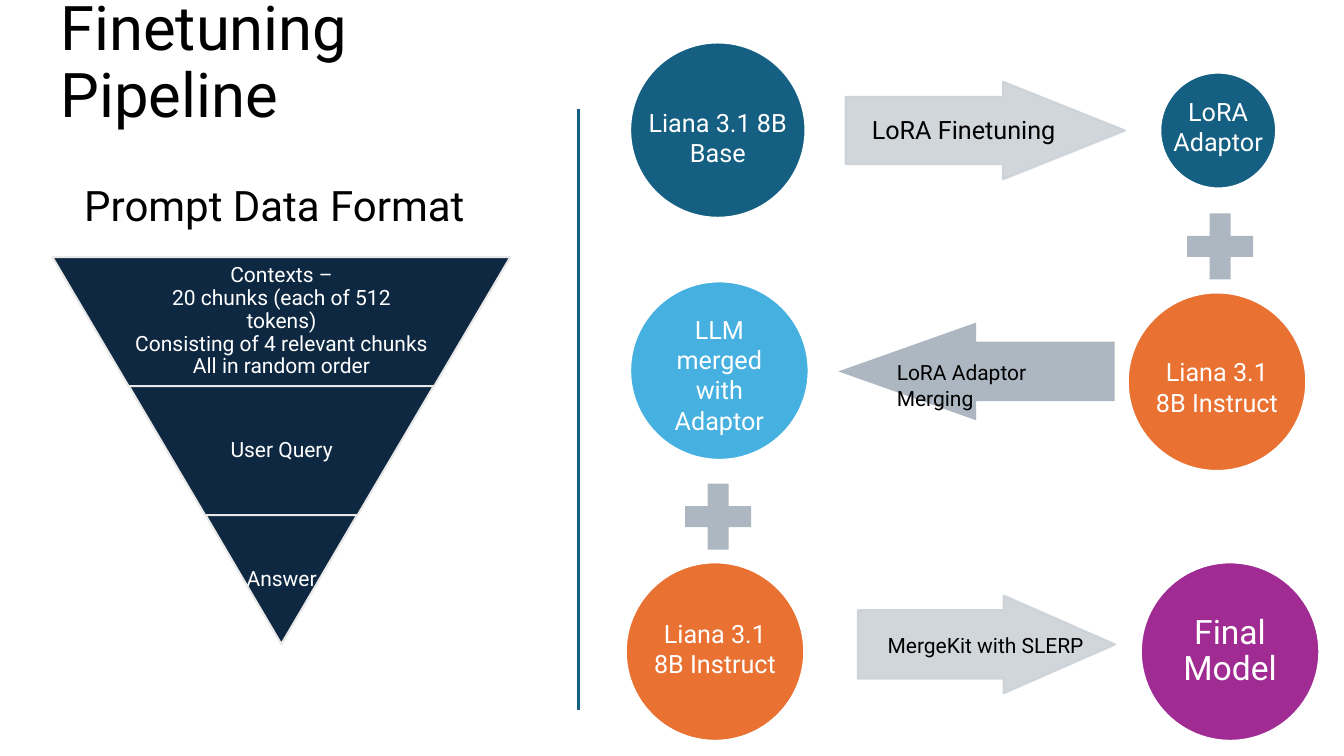
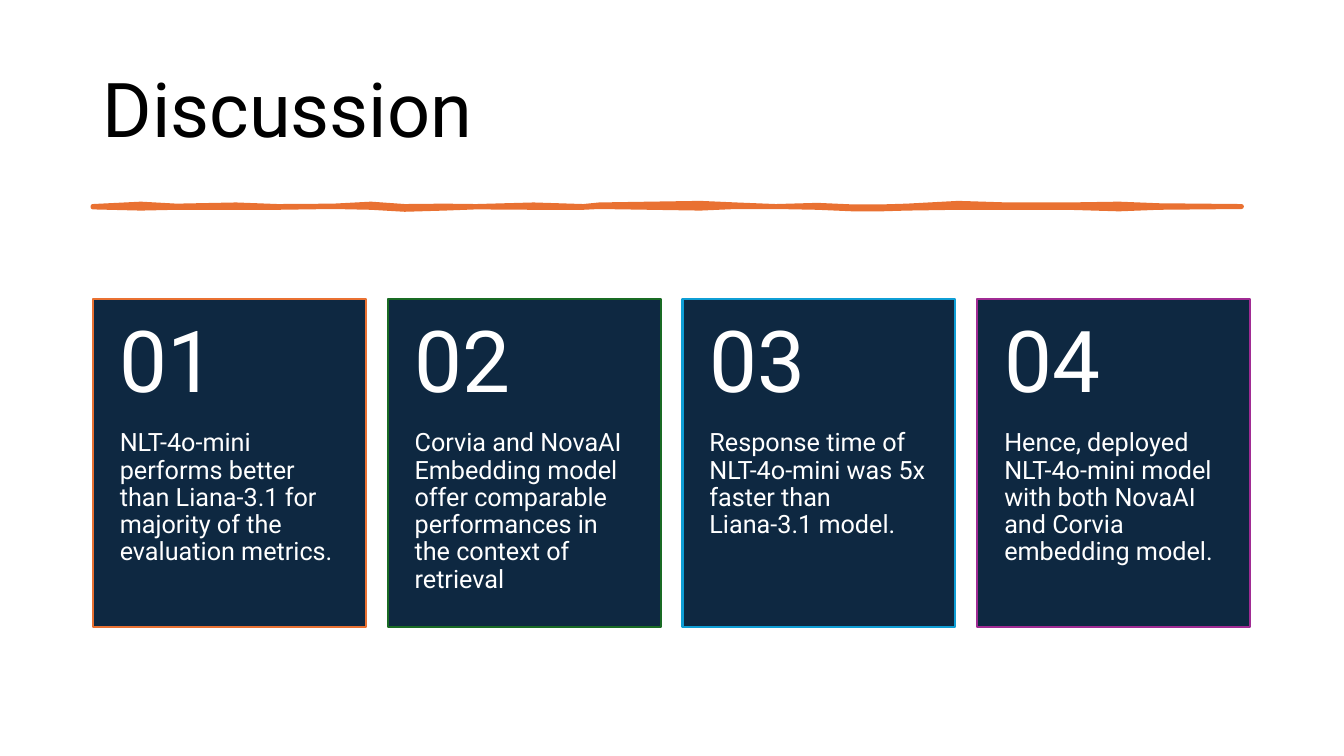
from pptx import Presentation
from pptx.dml.color import RGBColor
from pptx.enum.shapes import MSO_CONNECTOR as Link, MSO_SHAPE as Kind
from pptx.enum.text import MSO_ANCHOR as Anchor, MSO_AUTO_SIZE as Fit, PP_ALIGN as Align
from pptx.oxml.ns import qn
from pptx.util import Cm, Pt
from lxml.etree import SubElement as Sub

FONT = "Roboto"
BLACK, WHITE, NAVY, TEAL = "000000", "FFFFFF", "0E2841", "156082"
ORANGE, GREEN, BLUE, SKY = "E97132", "196B24", "0F9ED5", "46B1E1"
PLUM, STEEL, MIST, PALE = "A02B93", "ACB7C1", "CCD2D8", "E8E8E8"
SIDE = ("margin_left", "margin_top", "margin_right", "margin_bottom")
PAD = (0.25, 0.13, 0.25, 0.13)

TIERS = [
    ("Contexts –\n20 chunks (each of 512 tokens)\nConsisting of 4 relevant chunks\n"
     "All in random order", 3.35, 7.49),
    ("User Query", 4.6, 5),
    ("Answer", 5.18, 3.84),
]
DISCS = [
    ("Liana 3.1 8B\nBase", 15.88, 1.07, 4.42, TEAL, 0.18),
    ("LoRA\nAdaptor", 29.24, 1.83, 2.92, TEAL, -0.1),
    ("Liana 3.1 8B Instruct", 28.42, 7.37, 4.5, ORANGE, 0.13),
    ("LLM merged with Adaptor", 15.88, 7.09, 4.5, SKY, 0.1),
    ("Liana 3.1 8B Instruct", 15.77, 14.17, 4.5, ORANGE, -0.08),
]
ARROWS = [
    (Kind.RIGHT_ARROW, (21.31, 2.06, 7.04, 2.46), (0.69, 1.25), MIST, 90),
    (Kind.LEFT_ARROW, (21.13, 8.13, 6.96, 2.46), (0.61, 1.41), STEEL, 100),
    (Kind.RIGHT_ARROW, (21.62, 15.01, 6.48, 2.46), (0.7, 1.14), MIST, 90),
]
STEPS = [
    ("LoRA Finetuning", 21.72, 2.74, 18),
    ("LoRA Adaptor Merging", 22.35, 8.94, 15),
    ("MergeKit with SLERP", 22.12, 15.8, 15),
]
POINTS = [
    ("NLT-4o-mini performs better than Liana-3.1 for majority of the evaluation metrics.", ORANGE),
    ("Corvia and NovaAI Embedding model offer comparable performances in the context of "
     "retrieval", GREEN),
    ("Response time of NLT-4o-mini was 5x faster than Liana-3.1 model.", BLUE),
    ("Hence, deployed NLT-4o-mini model with both NovaAI and Corvia embedding model.", PLUM),
]
WAVE = [
    (2.34, 5.2, 5.22), (3.55, 5.14, 5.25), (4.45, 5.19, 5.23), (5.95, 5.16, 5.23),
    (7, 5.2, 5.23), (8.4, 5.19, 5.21), (9.35, 5.14, 5.23), (10.2, 5.2, 5.28),
    (11.2, 5.19, 5.25), (12, 5.2, 5.22), (13.45, 5.16, 5.23), (14.7, 5.2, 5.23),
    (15.1, 5.16, 5.21), (17.65, 5.12, 5.25), (18.55, 5.16, 5.21), (19.55, 5.2, 5.21),
    (20.6, 5.17, 5.23), (21.5, 5.21, 5.27), (22.2, 5.21, 5.27), (22.85, 5.19, 5.25),
    (24.15, 5.12, 5.23), (25.4, 5.16, 5.23), (26.9, 5.16, 5.23), (28.2, 5.14, 5.27),
    (29.2, 5.18, 5.23), (31.29, 5.2, 5.21),
]


def color(code):
    """Turn a hex string into a colour."""
    return RGBColor.from_string(code)


def put(item, **vals):
    """Set each named attribute on the item."""
    for name, val in vals.items():
        setattr(item, name, val)


def write(shape, text, size, ink=WHITE, align=Align.LEFT, anchor=Anchor.TOP,
          lead=1.0, pad=PAD, wrap=True):
    """Fill the text frame of a shape and format every run."""
    frame = shape.text_frame
    frame.text = text
    put(frame, auto_size=Fit.NONE, word_wrap=wrap, vertical_anchor=anchor,
        **{side: Cm(gap) for side, gap in zip(SIDE, pad)})
    for para in frame.paragraphs:
        put(para, alignment=align, line_spacing=lead)
        for run in para.runs:
            put(run.font, name=FONT, size=Pt(size))
            run.font.color.rgb = color(ink)


def label(slide, text, box, size, **look):
    """Add a text box."""
    write(slide.shapes.add_textbox(*map(Cm, box)), text, size, **look)


def paint(shape, fill, line=None, width=1.5, alpha=100):
    """Give a shape its fill, outline and opacity."""
    shape.shadow.inherit = False
    shape.fill.solid()
    shape.fill.fore_color.rgb = color(fill)
    if line:
        shape.line.color.rgb = color(line)
        shape.line.width = Pt(width)
    else:
        shape.line.fill.background()
    if alpha < 100:
        for tint in shape._element.spPr.iter(qn("a:srgbClr")):
            Sub(tint, qn("a:alpha"), val=str(alpha * 1000))


def block(slide, kind, box, fill, line=None, adj=(), alpha=100):
    """Add a painted preset shape."""
    shape = slide.shapes.add_shape(kind, *map(Cm, box))
    for spot, val in enumerate(adj):
        shape.adjustments[spot] = val
    paint(shape, fill, line, alpha=alpha)
    return shape


def disc(slide, text, left, top, size, fill, shift=0, font=18, lead=1.0):
    """Add a circle whose centred text is moved down by shift."""
    shape = block(slide, Kind.OVAL, (left, top, size, size), fill, WHITE)
    pad = (0, max(0, 2 * shift), 0, max(0, -2 * shift))
    write(shape, text, font, align=Align.CENTER, anchor=Anchor.MIDDLE, lead=lead,
          pad=pad, wrap="\n" not in text)


def rule(slide, left, top, end):
    """Draw the vertical divider."""
    line = slide.shapes.add_connector(Link.STRAIGHT, *map(Cm, (left, top, left, end)))
    line.line.color.rgb = color(TEAL)
    line.line.width = Pt(1.5)
    Sub(line._element.spPr, qn("a:effectLst"))


def tiers(slide):
    """Stack the bands of the inverted pyramid."""
    high, step = 3.25, 1.93
    for row, (text, left, width) in enumerate(TIERS):
        top = 6.48 + row * high
        band = block(slide, Kind.TRAPEZOID,
                     (1.32 + row * step, top, 11.54 - 2 * row * step, high),
                     NAVY, PALE, (0.59,))
        band.rotation = 180
        label(slide, text, (left, top, width, high), 15, align=Align.CENTER,
              anchor=Anchor.MIDDLE, lead=0.9, pad=(0.05,) * 4)


def stroke(slide):
    """Draw the uneven brush line under the title."""
    edge = [(x, top) for x, top, _ in WAVE] + [(x, low) for x, _, low in reversed(WAVE)]
    dots = [(Cm(x), Cm(y)) for x, y in edge]
    form = slide.shapes.build_freeform(*dots[0])
    form.add_line_segments(dots[1:])
    paint(form.convert_to_shape(), ORANGE, ORANGE, 3.25)


def cards(slide):
    """Lay out the numbered cards in equal steps."""
    top, width, head = 7.54, 6.88, 3.3
    for spot, (text, edge) in enumerate(POINTS):
        left = 2.34 + spot * 7.43
        card = block(slide, Kind.RECTANGLE, (left, top, width, 8.26), NAVY, edge)
        write(card, text, 18, lead=0.9, pad=(0.68, head, 0.68, 0.91))
        label(slide, f"{spot + 1:02}", (left, top, width, head), 61, anchor=Anchor.MIDDLE,
              lead=0.9, pad=(0.68, 0.46, 0.68, 0.46))


def page(deck, title, box, size):
    """Add a slide with a formatted title."""
    slide = deck.slides.add_slide(deck.slide_layouts[5])
    head = slide.shapes.title
    put(head, **dict(zip(("left", "top", "width", "height"), map(Cm, box))))
    write(head, title, size, BLACK, anchor=Anchor.MIDDLE, lead=0.9)
    return slide


def tuning(deck):
    """Build the pipeline slide."""
    slide = page(deck, "Finetuning Pipeline", (1.27, -0.23, 13.31, 3.68), 44)
    label(slide, "Prompt Data Format", (1.27, 4.39, 11.3, 1.55), 30, ink=BLACK,
          align=Align.CENTER)
    tiers(slide)
    rule(slide, 14.58, 2.74, 17.88)
    for kind, box, adj, fill, alpha in ARROWS:
        block(slide, kind, box, fill, fill if alpha < 100 else None, adj, alpha)
    for text, left, top, size in STEPS:
        label(slide, text, (left, top, 5.56, 1.55), size, ink=BLACK)
    for args in DISCS:
        disc(slide, *args)
    disc(slide, "Final Model", 28.75, 14.17, 4.5, PLUM, font=24, lead=0.9)
    for left, top in ((29.62, 5.08), (16.97, 11.89)):
        block(slide, Kind.MATH_PLUS, (left, top, 2.26, 2.26), STEEL)


def talk(deck):
    """Build the discussion slide."""
    slide = page(deck, "Discussion", (2.34, 1.02, 29.21, 3.68), 54)
    stroke(slide)
    cards(slide)


def main():
    """Build and save the deck."""
    deck = Presentation()
    put(deck, slide_width=Cm(33.87), slide_height=Cm(19.05))
    tuning(deck)
    talk(deck)
    deck.save("out.pptx")


if __name__ == "__main__":
    main()
